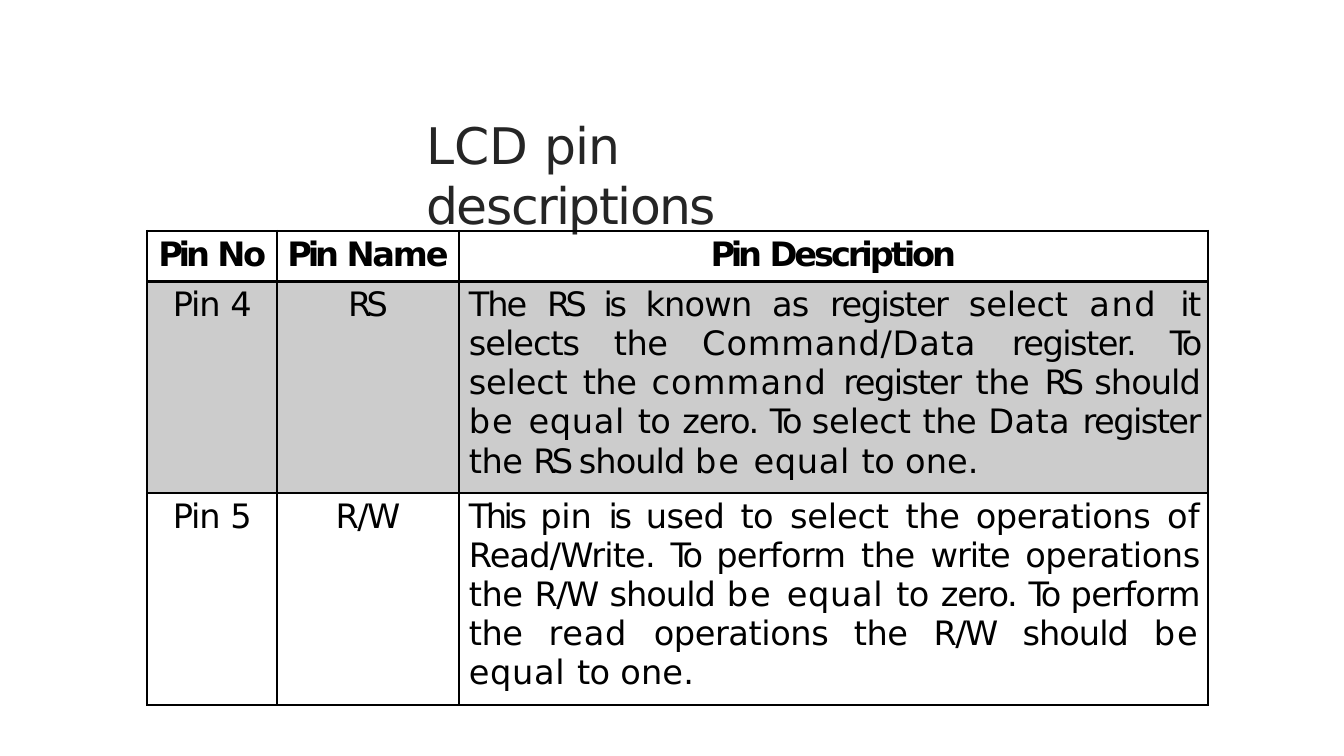
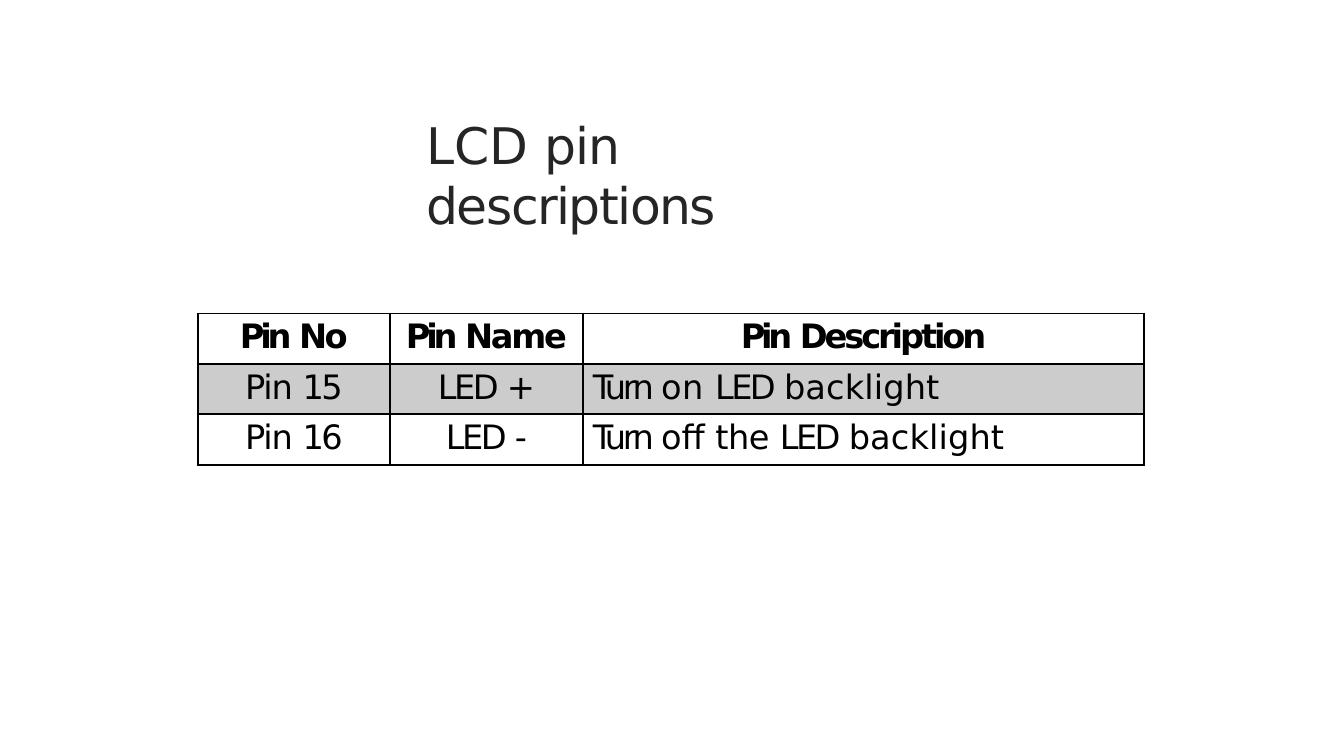
from lxml.etree import SubElement
from pptx import Presentation
from pptx.dml.color import RGBColor
from pptx.enum.text import MSO_ANCHOR, MSO_AUTO_SIZE, PP_ALIGN
from pptx.oxml.ns import qn
from pptx.util import Inches, Pt

FONT = "DejaVu Sans"
TITLE_COLOR = RGBColor(0x25, 0x25, 0x25)
BLACK = RGBColor(0x00, 0x00, 0x00)
GRAY = RGBColor(0xCC, 0xCC, 0xCC)

TITLE_FORMAT = {"name": FONT, "size": Pt(36), "bold": False}
HEADER_FORMAT = {"name": FONT, "size": Pt(24), "bold": True}
BODY_FORMAT = {"name": FONT, "size": Pt(24), "bold": False}

TITLE_FRAME = {
    "margin_left": Inches(0.01), "margin_top": Inches(0.03),
    "margin_right": 0, "margin_bottom": 0, "word_wrap": True,
    "vertical_anchor": MSO_ANCHOR.TOP,
    "auto_size": MSO_AUTO_SIZE.SHAPE_TO_FIT_TEXT,
}
CENTERED_CELL = {
    "margin_left": 0, "margin_top": Inches(0.04),
    "margin_right": 0, "margin_bottom": 0,
    "vertical_anchor": MSO_ANCHOR.TOP,
}
DESCRIPTION_CELL = CENTERED_CELL | {
    "margin_left": Inches(0.1), "margin_right": Inches(0.08),
}

TITLE_SPACING = {"LCD": -0.1, "pin": -0.6, "descriptions": -1.1}
HEADER_SPACING = {"Pin": -3, "No": -1.8, "Name": -1.6, "Description": -2.2}
BODY_SPACING = {
    "Pin": -0.8, "4": -1.9, "5": -1.9, "15": -1.9, "16": -1.9,
    "RS": -3.5, "R/W": -1.2, "LED": -1.8, "+": -5.1, "-": -3,
    "The": -1.4, "This": -2.5, "To": -1.9, "Turn": -2.4, "is": -2.3,
    "known": -0.6, "as": -0.6, "register": -1.1, "register.": -1.1,
    "select": -0.1, "selects": -0.7, "and": 1.1, "it": -1.1, "the": -0.3,
    "Command/Data": 0.6, "command": 0.8, "Data": 0.3, "should": -0.7,
    "be": 1.4, "equal": 0.5, "to": -0.4, "zero.": -0.9, "one.": 0.1,
    "pin": -0.1, "used": -0.4, "operations": -0.3, "of": 0.1,
    "Read/Write.": -0.6, "perform": -0.5, "write": -0.8, "read": 0.5,
    "on": 0.3, "off": -0.2, "backlight": 0.1,
}

TITLE = "LCD pin descriptions"
HEADER = ("Pin No", "Pin Name", "Pin Description")
REGISTER_PINS = [
    ("Pin 4", "RS",
     "The RS is known as register select and it selects the Command/Data "
     "register. To select the command register the RS should be equal to "
     "zero. To select the Data register the RS should be equal to one."),
    ("Pin 5", "R/W",
     "This pin is used to select the operations of Read/Write. To perform "
     "the write operations the R/W should be equal to zero. To perform the "
     "read operations the R/W should be equal to one."),
]
BACKLIGHT_PINS = [
    ("Pin 15", "LED +", "Turn on LED backlight"),
    ("Pin 16", "LED -", "Turn off the LED backlight"),
]


def apply_format(target, values):
    for name, value in values.items():
        setattr(target, name, value)


def write_words(paragraph, text, font_format, color, spacing, alignment):
    paragraph.alignment = alignment
    words = text.split()
    for index, word in enumerate(words, 1):
        run = paragraph.add_run()
        run.text = word if index == len(words) else word + " "
        apply_format(run.font, font_format)
        run.font.color.rgb = color
        run._r.get_or_add_rPr().set("spc", str(round(spacing[word] * 100)))


def add_titled_slide(presentation):
    slide = presentation.slides.add_slide(presentation.slide_layouts[5])
    title = slide.shapes.title
    apply_format(title, {"left": Inches(4.22), "top": Inches(1.1),
                         "width": Inches(4.9), "height": Inches(0.63)})
    apply_format(title.text_frame, TITLE_FRAME)
    write_words(title.text_frame.paragraphs[0], TITLE, TITLE_FORMAT,
                TITLE_COLOR, TITLE_SPACING, PP_ALIGN.LEFT)
    return slide


def set_borders(cell, top, bottom):
    properties = cell._tc.get_or_add_tcPr()
    widths = {"a:lnL": 1.5, "a:lnR": 1.5, "a:lnT": top, "a:lnB": bottom}
    for tag, width in widths.items():
        line = SubElement(properties, qn(tag), w=str(Pt(width)))
        fill = SubElement(line, qn("a:solidFill"))
        SubElement(fill, qn("a:srgbClr"), val=str(BLACK))


def format_cell(cell, text, row, column, description_alignment):
    is_header = row == 0
    is_description = column == 2 and not is_header
    apply_format(cell, DESCRIPTION_CELL if is_description else CENTERED_CELL)
    set_borders(cell, 2.25 if row == 1 else 1.5, 2.25 if is_header else 1.5)
    if row == 1:
        cell.fill.solid()
        cell.fill.fore_color.rgb = GRAY
    else:
        cell.fill.background()
    write_words(cell.text_frame.paragraphs[0], text,
                HEADER_FORMAT if is_header else BODY_FORMAT, BLACK,
                HEADER_SPACING if is_header else BODY_SPACING,
                description_alignment if is_description else PP_ALIGN.CENTER)


def add_pin_table(slide, left, top, widths, heights, pins, alignment):
    rows = [HEADER, *pins]
    table = slide.shapes.add_table(
        len(rows), len(HEADER), Inches(left), Inches(top),
        Inches(sum(widths)), Inches(sum(heights))).table
    table.horz_banding = False
    for column, width in zip(table.columns, widths):
        column.width = Inches(width)
    for row, height in zip(table.rows, heights):
        row.height = Inches(height)
    for row, texts in enumerate(rows):
        for column, text in enumerate(texts):
            format_cell(table.cell(row, column), text, row, column, alignment)


def main():
    presentation = Presentation()
    presentation.slide_width = Inches(13.33)
    presentation.slide_height = Inches(7.5)
    add_pin_table(add_titled_slide(presentation), 1.46, 2.29,
                  (1.29, 1.8, 7.43), (0.5, 2.1, 2.1),
                  REGISTER_PINS, PP_ALIGN.JUSTIFY)
    add_pin_table(add_titled_slide(presentation), 1.96, 3.11,
                  (1.91, 1.91, 5.57), (0.5, 0.5, 0.5),
                  BACKLIGHT_PINS, PP_ALIGN.LEFT)
    presentation.save("out.pptx")


if __name__ == "__main__":
    main()
